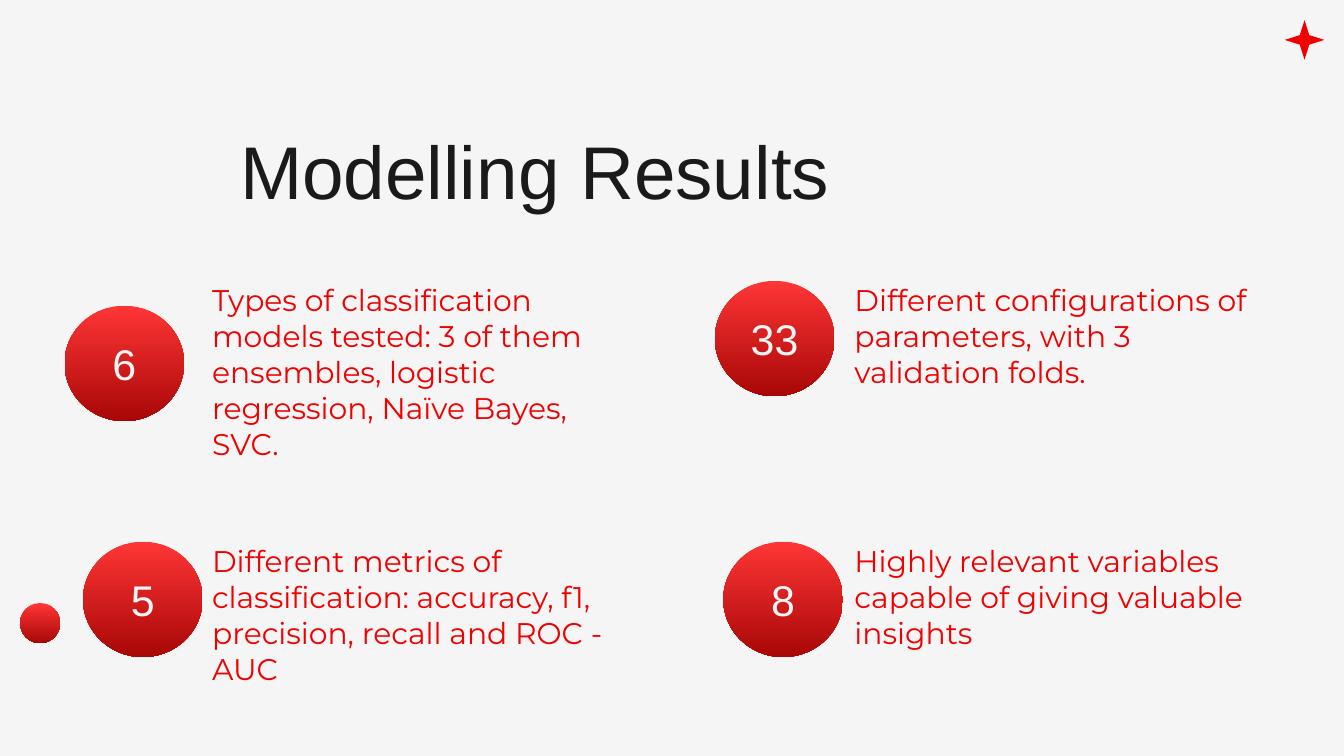
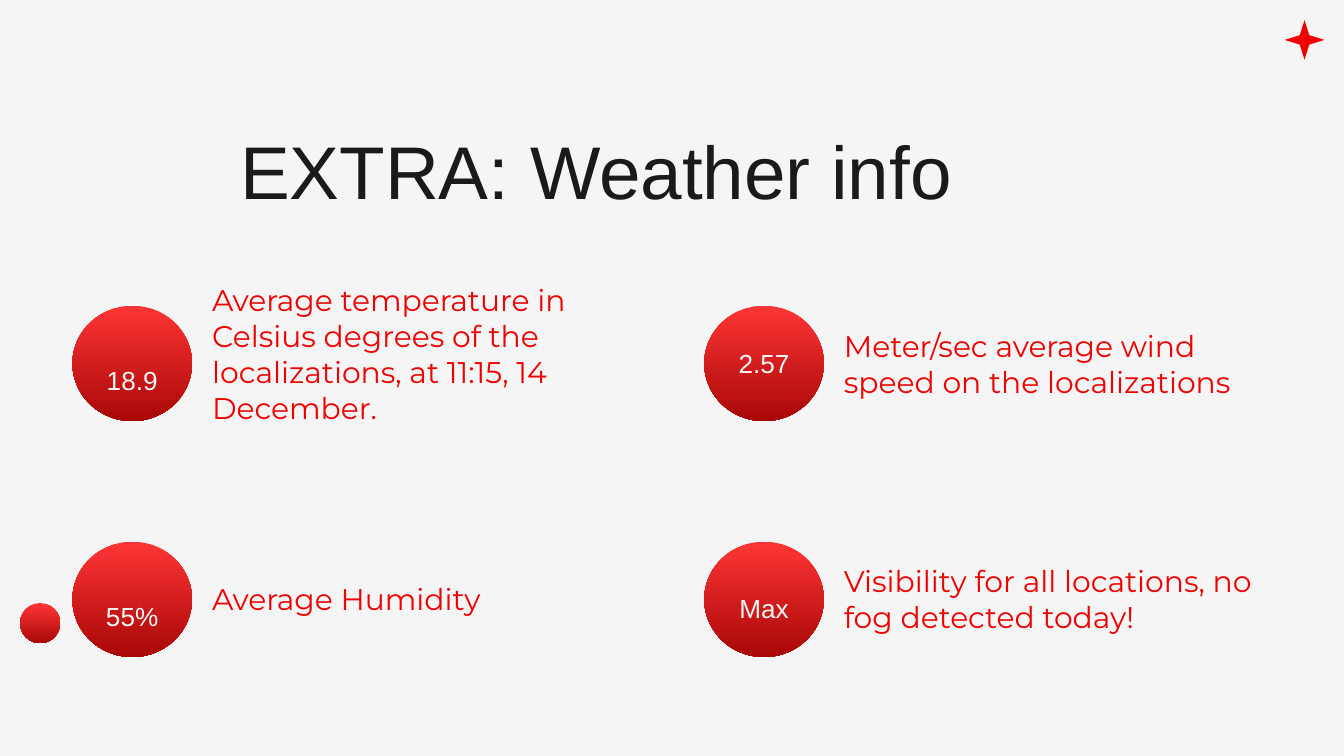
from dataclasses import dataclass

from pptx import Presentation
from pptx.dml.color import RGBColor
from pptx.enum.shapes import MSO_SHAPE
from pptx.enum.text import MSO_ANCHOR, PP_ALIGN
from pptx.util import Cm, Pt

BACKGROUND = RGBColor(0xF5, 0xF5, 0xF5)
INK = RGBColor(0x1A, 0x1A, 0x1A)
RED = RGBColor(0xF0, 0x01, 0x01)
LIGHT_RED = RGBColor(0xFE, 0x35, 0x35)
DARK_RED = RGBColor(0xA9, 0x07, 0x07)

TITLE_FONT = "Arial"
BODY_FONT = "Montserrat"
INSET = 0.25
TEXT_WIDTH = 8.61
TALL, SHORT = 3.58, 2.13
BADGE_WIDTH, BADGE_HEIGHT = 2.26, 2.18


@dataclass
class Fact:
    """A description box in cm, with a badge placed relative to it."""
    value: str
    description: str
    left: float
    top: float
    height: float = TALL
    anchor: MSO_ANCHOR = MSO_ANCHOR.MIDDLE
    badge_dx: float = -2.39
    badge_dy: float = 0.7
    value_drop: float = 0


TOP = MSO_ANCHOR.TOP
RESULTS = [
    Fact("6", "Types of classification models tested: 3 of them ensembles, "
         "logistic regression, Naïve Bayes, SVC.",
         3.76, 5.08, TALL, TOP, badge_dx=-2.54),
    Fact("33", "Different configurations of parameters, with 3 validation folds.",
         15.9, 5.08, SHORT, TOP, badge_dy=0.23),
    Fact("5", "Different metrics of classification: accuracy, f1, precision, "
         "recall and ROC - AUC",
         3.76, 10.01, SHORT, TOP, badge_dx=-2.19, badge_dy=0.23),
    Fact("8", "Highly relevant variables capable of giving valuable insights",
         15.9, 10.01, SHORT, TOP, badge_dx=-2.23, badge_dy=0.23),
]
WEATHER = [
    Fact("18.9", "Average temperature in Celsius degrees of the localizations, "
         "at 11:15, 14 December.", 3.76, 5.08, anchor=TOP, value_drop=0.32),
    Fact("2.57", "Meter/sec average wind speed on the localizations", 15.7, 5.08),
    Fact("55%", "Average Humidity", 3.76, 9.53, value_drop=0.32),
    Fact("Max", "Visibility for all locations, no fog detected today!",
         15.7, 9.53, value_drop=0.17),
]


def style_text(text_frame, text, font_name, size, color):
    text_frame.text = text
    font = text_frame.paragraphs[0].runs[0].font
    font.name, font.size, font.color.rgb = font_name, Pt(size), color


def add_text(slide, left, top, width, height, text, font_name, size, color):
    box = slide.shapes.add_textbox(Cm(left), Cm(top), Cm(width), Cm(height))
    text_frame = box.text_frame
    text_frame.word_wrap = True
    text_frame.margin_left = text_frame.margin_right = Cm(INSET)
    text_frame.margin_top = text_frame.margin_bottom = Cm(INSET)
    style_text(text_frame, text, font_name, size, color)
    return text_frame


def add_ball(slide, left, top, width, height):
    """Add an ellipse shaded from light to dark red downwards."""
    ball = slide.shapes.add_shape(
        MSO_SHAPE.OVAL, Cm(left), Cm(top), Cm(width), Cm(height))
    ball.shadow.inherit = False
    ball.line.fill.background()
    ball.fill.gradient()
    ball.fill.gradient_angle = 270
    for stop, position, color in zip(
            ball.fill.gradient_stops, (0, 1), (LIGHT_RED, DARK_RED)):
        stop.position, stop.color.rgb = position, color
    return ball


def add_star(slide, left, top, size):
    """Add a four-pointed star filling a square."""
    middle, near, far = size / 2, size * 0.38, size * 0.62
    points = [(middle, 0), (near, near), (0, middle), (near, far),
              (middle, size), (far, far), (size, middle), (far, near)]
    outline = [(Cm(left + x), Cm(top + y)) for x, y in points]
    builder = slide.shapes.build_freeform(*outline[0])
    builder.add_line_segments(outline[1:], close=True)
    star = builder.convert_to_shape()
    star.shadow.inherit = False
    star.fill.solid()
    star.fill.fore_color.rgb = RED
    star.line.fill.background()


def add_fact(slide, fact, value_size):
    text_frame = add_text(slide, fact.left, fact.top, TEXT_WIDTH, fact.height,
                          fact.description, BODY_FONT, 16, RED)
    text_frame.vertical_anchor = fact.anchor

    badge = add_ball(slide, fact.left + fact.badge_dx, fact.top + fact.badge_dy
                     if fact.top < 9 or fact.height == SHORT
                     else fact.top + 0.71, BADGE_WIDTH, BADGE_HEIGHT)
    text_frame = badge.text_frame
    text_frame.word_wrap = False
    text_frame.vertical_anchor = MSO_ANCHOR.MIDDLE
    text_frame.margin_top, text_frame.margin_bottom = Cm(2 * fact.value_drop), 0
    style_text(text_frame, fact.value, TITLE_FONT, value_size, BACKGROUND)
    text_frame.paragraphs[0].alignment = PP_ALIGN.CENTER


def add_facts_slide(presentation, title, facts, value_size):
    slide = presentation.slides.add_slide(presentation.slide_layouts[6])
    add_ball(slide, 0.38, 11.4, 0.76, 0.76)
    add_star(slide, 24.28, 0.38, 0.75)
    title_frame = add_text(slide, 4.29, 1.96, 21.44, 1.3, title, TITLE_FONT, 40, INK)
    title_frame.margin_top = Cm(0.4)
    for fact in facts:
        add_fact(slide, fact, value_size)


def main():
    presentation = Presentation()
    presentation.slide_width, presentation.slide_height = Cm(25.4), Cm(14.29)
    background = presentation.slide_master.background.fill
    background.solid()
    background.fore_color.rgb = BACKGROUND
    add_facts_slide(presentation, "Modelling Results", RESULTS, 23)
    add_facts_slide(presentation, "EXTRA: Weather info", WEATHER, 14)
    presentation.save("out.pptx")


if __name__ == "__main__":
    main()
